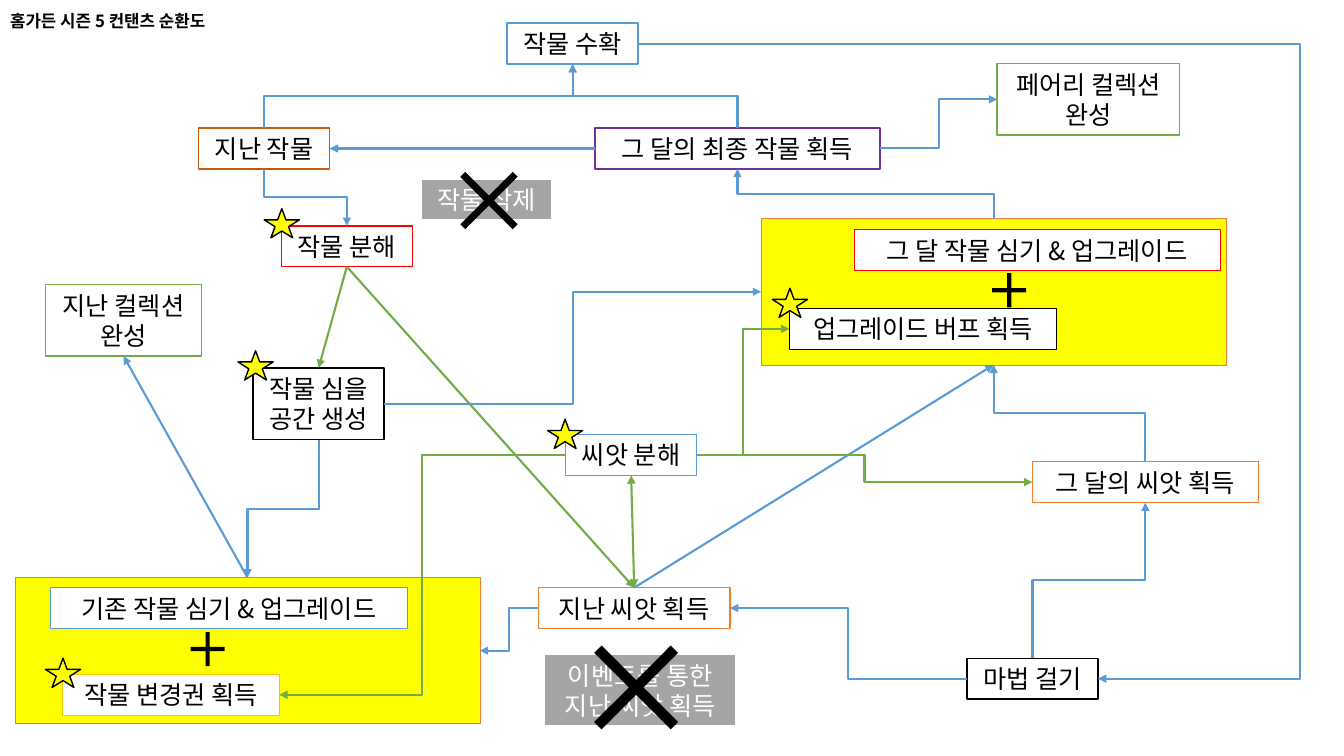
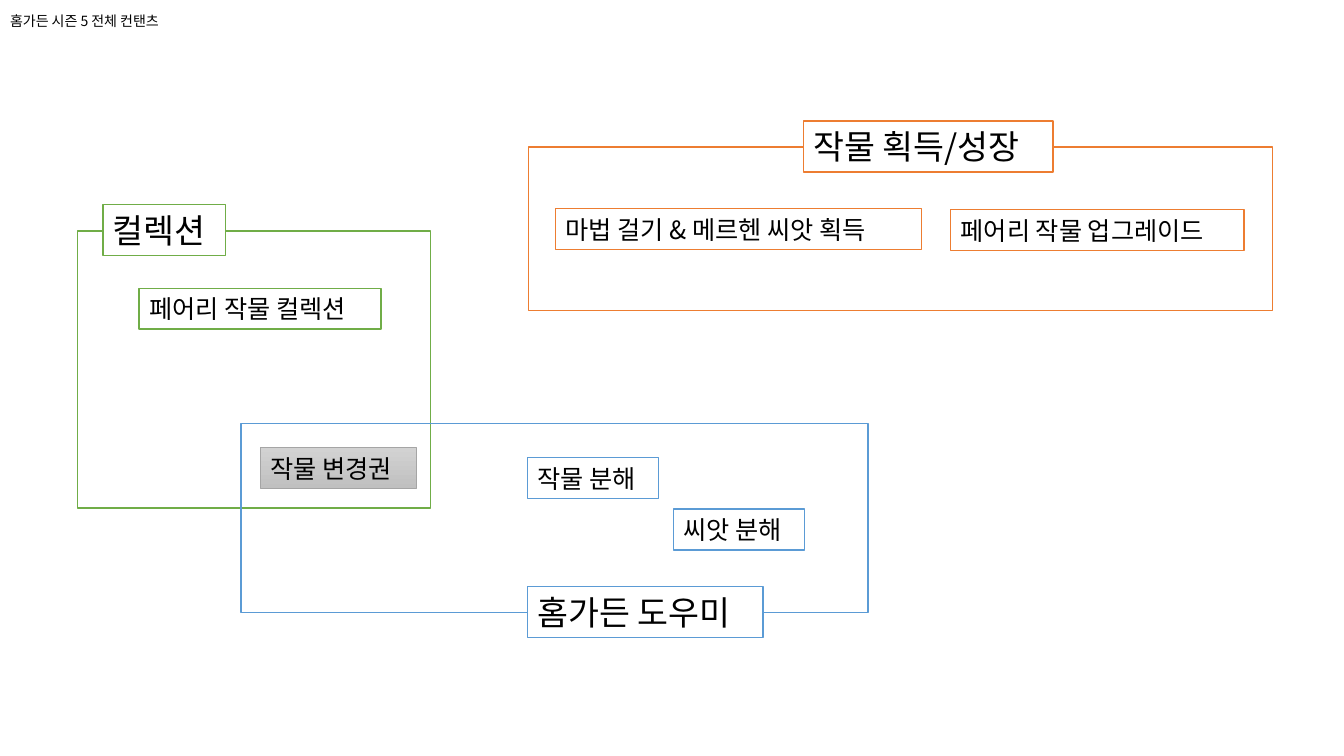
import pptx
import pptx.dml.color
import pptx.enum.shapes
import pptx.enum.text
import pptx.oxml
import pptx.oxml.ns
import pptx.util
from lxml import etree

qn = pptx.oxml.ns.qn
Shape = pptx.enum.shapes.MSO_SHAPE
Line = pptx.enum.shapes.MSO_CONNECTOR
Align = pptx.enum.text.PP_ALIGN
Anchor = pptx.enum.text.MSO_ANCHOR

FONT = "Noto Sans CJK KR"
COLS, ROWS = 133.3, 75  # grid of square cells, ten to the inch
BLACK, WHITE, GREY, YELLOW = "000000", "FFFFFF", "A5A5A5", "FFFF00"
BLUE, GREEN, ORANGE, RUST = "5B9BD5", "70AD47", "ED7D31", "C55A11"
RED, PURPLE, GOLD = "FF0000", "7030A0", "FFC000"
SITES = {"top": 0, "left": 1, "bottom": 2, "right": 3}


def cells(count):
    return pptx.util.Inches(round(count / 10, 4))


def paint(target, colour):
    """Give a fill, a line's fill or a font one hex colour; None clears it."""
    if colour is None:
        target.background()
    elif hasattr(target, "solid"):
        target.solid()
        target.fore_color.rgb = pptx.dml.color.RGBColor.from_string(colour)
    else:
        target.color.rgb = pptx.dml.color.RGBColor.from_string(colour)


def write(frame, text, size=18, colour=BLACK, bold=False, align=Align.CENTER,
          wrap=False, spacing=None):
    """Put text into a frame, one paragraph a line."""
    frame.auto_size = pptx.enum.text.MSO_AUTO_SIZE.NONE
    frame.word_wrap = wrap
    frame.vertical_anchor = Anchor.MIDDLE
    for number, words in enumerate(text.split("\n")):
        paragraph = frame.add_paragraph() if number else frame.paragraphs[0]
        paragraph.alignment = align
        paragraph.line_spacing = spacing
        run = paragraph.add_run()
        run.text = words
        run.font.size = pptx.util.Pt(size)
        run.font.bold = bold
        run.font.name = FONT
        paint(run.font, colour)
        etree.SubElement(run.font._element, qn("a:ea")).set("typeface", FONT)


class Board:
    """The deck's style and the slide being filled."""

    def __init__(self):
        self.deck = pptx.Presentation()
        self.deck.slide_width = cells(COLS)
        self.deck.slide_height = cells(ROWS)
        self.slide = None

    def open_slide(self, title, size, bold=False):
        self.slide = self.deck.slides.add_slide(self.deck.slide_layouts[5])
        heading = self.slide.shapes.title
        heading.left, heading.top = 0, 0
        heading.width, heading.height = cells(COLS), cells(4.3)
        write(heading.text_frame, title, size=size, bold=bold,
              align=Align.LEFT, wrap=True, spacing=0.9)

    def preset(self, kind, left, top, width, height, fill=None, line=None,
               weight=1, adjust=None):
        shape = self.slide.shapes.add_shape(
            kind, cells(left), cells(top), cells(width), cells(height))
        shape.shadow.inherit = False
        paint(shape.fill, fill)
        paint(shape.line.fill, line)
        if line:
            shape.line.width = pptx.util.Pt(weight)
        if adjust is not None:
            shape.adjustments[0] = adjust
        return shape

    def box(self, text, left, top, width=13, line=BLACK, weight=1, fill=WHITE,
            **style):
        """A labelled box whose height follows its text."""
        rows = 1 + 0.17 * style.get("size", 18) * (text.count("\n") + 1)
        shape = self.preset(Shape.RECTANGLE, left, top, width, rows, fill, line, weight)
        write(shape.text_frame, text, **style)
        return shape

    def panel(self, left, top):
        return self.preset(Shape.RECTANGLE, left, top, 46.1, 14.5, YELLOW, ORANGE, 0.5)

    def star(self, left, top):
        self.preset(Shape.STAR_5_POINT, left, top, 3.5, 2.9, YELLOW, BLACK)

    def plus(self, left, top):
        self.preset(Shape.MATH_PLUS, left, top, 4.6, 4.6, BLACK, adjust=0.09)

    def cross(self, left, top, side):
        self.preset(Shape.MATH_MULTIPLY, left, top, side, side, BLACK, adjust=0.07)

    def link(self, source, leaving, target, entering, colour=BLUE,
             straight=False, both=False, bend=None):
        """An arrow glued to a side of each of two boxes."""
        kind = Line.STRAIGHT if straight else Line.ELBOW
        arrow = self.slide.shapes.add_connector(kind, 0, 0, 0, 0)
        arrow.begin_connect(source, SITES[leaving])
        arrow.end_connect(target, SITES[entering])
        if not straight and leaving in ("top", "bottom"):
            self.turn(arrow)
        arrow.line.width = pptx.util.Pt(1.5)
        paint(arrow.line.fill, colour)
        properties = arrow._element.spPr
        outline = properties.find(qn("a:ln"))
        for end in ("a:headEnd", "a:tailEnd")[0 if both else 1:]:
            etree.SubElement(outline, qn(end)).set("type", "triangle")
        etree.SubElement(properties, qn("a:effectLst"))
        if bend:
            guides = properties.find(qn("a:prstGeom")).find(qn("a:avLst"))
            guide = etree.SubElement(guides, qn("a:gd"))
            guide.set("name", "adj1")
            guide.set("fmla", f"val {round(bend * 100000)}")

    @staticmethod
    def turn(arrow):
        """Rotate an elbow about its centre so that it sets out vertically."""
        across = arrow.end_x - arrow.begin_x
        down = arrow.end_y - arrow.begin_y
        middle = (arrow.begin_x + arrow.end_x) // 2, (arrow.begin_y + arrow.end_y) // 2
        arrow.width, arrow.height = abs(down), abs(across)
        arrow.left = middle[0] - abs(down) // 2
        arrow.top = middle[1] - abs(across) // 2
        frame = arrow._element.spPr.find(qn("a:xfrm"))
        frame.set("rot", str((90 if down > 0 else 270) * 60000))
        frame.set("flipH", "0")
        frame.set("flipV", "1" if (across > 0) == (down > 0) else "0")


def draw_cycle(board):
    board.open_slide("홈가든 시즌 5 컨탠츠 순환도", size=12, bold=True)

    # Planting panels
    month_panel = board.panel(75.5, 21.7)
    past_panel = board.panel(1.5, 57.3)

    # Steps of the cycle
    magic = board.box("마법 걸기", 95.9, 65.3)
    fairy = board.box("페어리 컬렉션\n완성", 98.9, 6.3, 18.1, GREEN)
    past_collection = board.box("지난 컬렉션\n완성", 4.5, 28.2, 15.5, GREEN)
    final_crop = board.box("그 달의 최종 작물 획득", 59, 12.7, 28.3, PURPLE)
    past_seed = board.box("지난 씨앗 획득", 53.4, 58.3, 19, ORANGE)
    month_seed = board.box("그 달의 씨앗 획득", 102.4, 45.8, 22.4, ORANGE)
    past_crop = board.box("지난 작물", 19.7, 12.7, line=RUST)
    harvest = board.box("작물 수확", 50.3, 2.3, line=BLUE)
    plot = board.box("작물 심을\n공간 생성", 25.1, 36.5)
    crop_split = board.box("작물 분해", 27.9, 22.4, line=RED)
    seed_split = board.box("씨앗 분해", 56.1, 43.1, line=BLUE)
    board.box("그 달 작물 심기 & 업그레이드", 84.7, 22.8, 36.3, RED, 0.5)
    buff = board.box("업그레이드 버프 획득", 78.3, 30.6, 26.5, BLACK, 0.5)
    board.box("기존 작물 심기 & 업그레이드", 5, 58.3, 35.4, BLUE)
    ticket = board.box("작물 변경권 획득", 6.2, 66.9, 21.5, GOLD, 0.5)

    # Steps dropped this season
    for text, left, top, width in (("작물 삭제", 41.8, 17.8, 13),
                                   ("이벤트를 통한\n지난 씨앗 획득", 54, 64.9, 19)):
        board.box(text, left, top, width, WHITE, 1.5, GREY, colour=WHITE)
    board.cross(43.5, 14.9, 10)
    board.cross(55.8, 60.9, 14.6)

    # Main flow
    board.link(harvest, "right", magic, "right", bend=1.44)
    board.link(final_crop, "top", harvest, "bottom")
    board.link(past_crop, "top", harvest, "bottom")
    board.link(final_crop, "left", past_crop, "right", straight=True)
    board.link(past_crop, "bottom", crop_split, "top")
    board.link(magic, "top", month_seed, "bottom")
    board.link(final_crop, "right", fairy, "left")
    board.link(magic, "left", past_seed, "right")
    board.link(plot, "bottom", past_panel, "top")
    board.link(plot, "right", month_panel, "left")
    board.link(past_panel, "top", past_collection, "bottom", straight=True)
    board.link(month_seed, "top", month_panel, "bottom")
    board.link(past_seed, "left", past_panel, "right")
    board.link(month_panel, "top", final_crop, "bottom")
    board.link(past_seed, "top", month_panel, "bottom", straight=True)

    # Flow out of splitting crops and seeds
    board.link(seed_split, "right", buff, "left", GREEN)
    board.link(seed_split, "bottom", past_seed, "top", GREEN, straight=True, both=True)
    board.link(crop_split, "bottom", past_seed, "top", GREEN, straight=True)
    board.link(crop_split, "bottom", plot, "top", GREEN, straight=True)
    board.link(seed_split, "left", ticket, "right", GREEN)
    board.link(seed_split, "right", month_seed, "left", GREEN)

    # Marks
    for left, top in ((23.6, 34.8), (26.2, 20.7), (54.3, 41.6), (76.6, 28.6), (4.5, 65.3)):
        board.star(left, top)
    board.plus(97.8, 26.5)
    board.plus(18.3, 62.1)


def draw_contents(board):
    board.open_slide("홈가든 시즌 5 전체 컨탠츠", size=10)
    left_text = {"align": Align.LEFT, "wrap": True}

    # Areas: outline, then heading on its edge
    areas = (
        (ORANGE, (52.4, 14.6, 73.8, 16.2), ("작물 획득/성장", 79.7, 12, 24.75)),
        (GREEN, (7.7, 22.9, 35, 27.5), ("컬렉션", 10.2, 20.3, 12.15)),
        (BLUE, (23.9, 42, 62.2, 18.75), ("홈가든 도우미", 52.3, 58.2, 23.4)),
    )
    for colour, outline, heading in areas:
        board.preset(Shape.RECTANGLE, *outline, line=colour)
        board.box(*heading, line=colour, size=24, **left_text)

    # Contents of the areas
    for text, left, top, width, colour in (
            ("페어리 작물 업그레이드", 94.3, 20.8, 29.1, ORANGE),
            ("마법 걸기 & 메르헨 씨앗 획득", 55.1, 20.7, 36.3, ORANGE),
            ("씨앗 분해", 66.8, 50.5, 13, BLUE),
            ("작물 분해", 52.3, 45.4, 13, BLUE),
            ("페어리 작물 컬렉션", 13.8, 28.6, 24, GREEN)):
        board.box(text, left, top, width, colour, **left_text)

    # Ticket shared by two areas
    ticket = board.box("작물 변경권", 25.8, 44.4, 15.5, GREY, 0.5, **left_text)
    ticket.fill.gradient()
    ticket.fill.gradient_angle = 270
    for stop, shade in zip(ticket.fill.gradient_stops, ("D2D2D2", "C0C0C0")):
        paint(stop, shade)


def main():
    board = Board()
    draw_cycle(board)
    draw_contents(board)
    board.deck.save("out.pptx")


if __name__ == "__main__":
    main()
